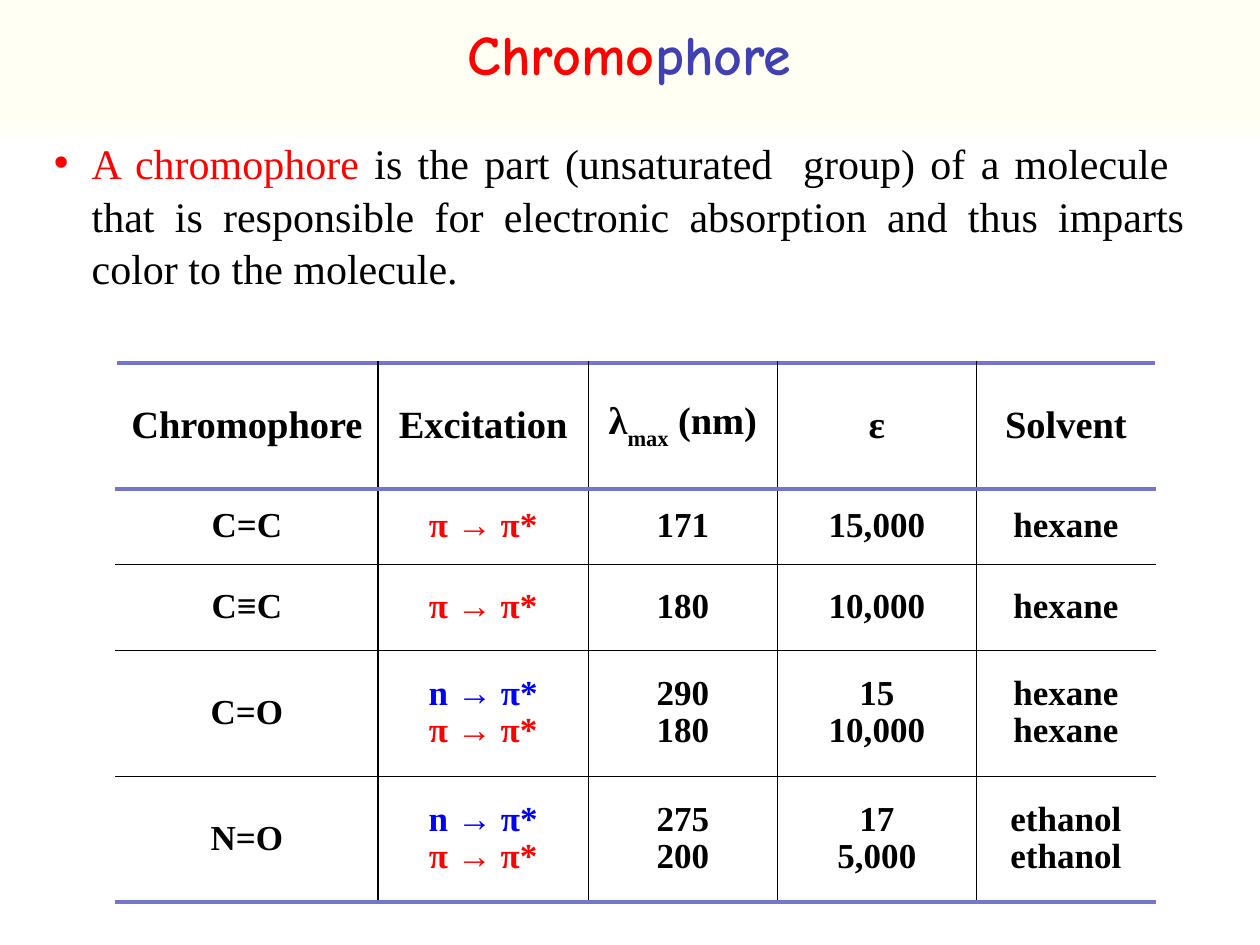
"""Build the chromophore slide: title, definition and table of excitations."""
from lxml.etree import SubElement
from pptx import Presentation
from pptx.dml.color import RGBColor as RGB
from pptx.enum.text import MSO_ANCHOR as Anchor, PP_ALIGN as Align
from pptx.oxml import parse_xml
from pptx.oxml.ns import nsdecls, qn
from pptx.util import Inches, Pt

RED = RGB(0xFF, 0x00, 0x00)
BLUE = RGB(0x00, 0x00, 0xFF)
INDIGO = RGB(0x40, 0x40, 0xB3)
RULE = RGB(0x75, 0x75, 0xD1)
BLACK = RGB(0x00, 0x00, 0x00)
WHITE = RGB(0xFF, 0xFF, 0xFF)
IVORY = RGB(0xFF, 0xFF, 0xF3)
SERIF = "Times New Roman"
CASUAL = "Comic Neue"

COLUMN_WIDTHS = (2.08, 1.67, 1.5, 1.58, 1.42)
ROW_HEIGHTS = (1, 0.6, 0.68, 1, 1)
HEADINGS = ("Chromophore", "Excitation", "λ|max| (nm)", "ε", "Solvent")
ROWS = (
    ("C=C", "π", "171", "15,000", "hexane"),
    ("C≡C", "π", "180", "10,000", "hexane"),
    ("C=O", "nπ", "290\n180", "15\n10,000", "hexane\nhexane"),
    ("N=O", "nπ", "275\n200", "17\n5,000", "ethanol\nethanol"),
)
ORBITAL_COLORS = {"n": BLUE, "π": RED}
DEFINITION = (
    " is the part (unsaturated  group) of a molecule  that is responsible "
    "for electronic absorption and thus imparts color to the molecule."
)


def add_text(paragraph, text, size=20, color=BLACK, bold=True, font=SERIF, baseline=0):
    for index, line in enumerate(text.split("\n")):
        if index:
            paragraph.add_line_break()
        run = paragraph.add_run()
        run.text = line
        run.font.size = Pt(size)
        run.font.bold = bold
        run.font.name = font
        run.font.color.rgb = color
        if baseline:
            run.font._element.set("baseline", str(baseline * 1000))


def add_box(slide, left, top, width, height, align, indent):
    frame = slide.shapes.add_textbox(
        Inches(left), Inches(top), Inches(width), Inches(height)
    ).text_frame
    frame.word_wrap = True
    paragraph = frame.paragraphs[0]
    paragraph.alignment = align
    properties = paragraph._p.get_or_add_pPr()
    properties.set("marL", str(Inches(indent)))
    properties.set("indent", str(-Inches(indent)))
    return paragraph


def add_bullet(paragraph, color):
    properties = paragraph._p.get_or_add_pPr()
    bullet_color = SubElement(properties, qn("a:buClr"))
    SubElement(bullet_color, qn("a:srgbClr")).set("val", str(color))
    SubElement(properties, qn("a:buFont")).set("typeface", "Arial")
    SubElement(properties, qn("a:buChar")).set("char", "•")


def set_borders(cell, row, column):
    last_row, last_column = len(ROW_HEIGHTS) - 1, len(COLUMN_WIDTHS) - 1
    thin, thick, edge = (BLACK, 0.75), (RULE, 3), (WHITE, 1)
    borders = (
        ("L", edge if column == 0 else thin),
        ("R", edge if column == last_column else thin),
        ("T", thick if row in (0, 1) else thin),
        ("B", thick if row in (0, last_row) else thin),
    )
    for index, (side, (color, width)) in enumerate(borders):
        line = parse_xml(
            f'<a:ln{side} {nsdecls("a")} w="{Pt(width)}"><a:solidFill>'
            f'<a:srgbClr val="{color}"/></a:solidFill></a:ln{side}>'
        )
        cell._tc.get_or_add_tcPr().insert(index, line)


def add_heading(paragraph, text):
    for index, part in enumerate(text.split("|")):
        add_text(paragraph, part, size=22, baseline=-30 if index == 1 else 0)


def add_excitations(frame, orbitals):
    for index, orbital in enumerate(orbitals):
        paragraph = frame.add_paragraph() if index else frame.paragraphs[0]
        color = ORBITAL_COLORS[orbital]
        add_text(paragraph, f"{orbital} ", color=color)
        add_text(paragraph, "→ ", color=color, bold=False)
        add_text(paragraph, "π*", color=color)


def add_excitation_table(slide):
    table = slide.shapes.add_table(
        len(ROW_HEIGHTS), len(COLUMN_WIDTHS), Inches(0.92), Inches(2.88),
        Inches(sum(COLUMN_WIDTHS)), Inches(sum(ROW_HEIGHTS)),
    ).table
    for column, width in zip(table.columns, COLUMN_WIDTHS):
        column.width = Inches(width)
    for table_row, height in zip(table.rows, ROW_HEIGHTS):
        table_row.height = Inches(height)
    for row, values in enumerate((HEADINGS, *ROWS)):
        for column, value in enumerate(values):
            cell = table.cell(row, column)
            cell.fill.solid()
            cell.fill.fore_color.rgb = WHITE
            cell.vertical_anchor = Anchor.MIDDLE
            set_borders(cell, row, column)
            frame = cell.text_frame
            if row == 0:
                add_heading(frame.paragraphs[0], value)
            elif column == 1:
                add_excitations(frame, value)
            else:
                add_text(frame.paragraphs[0], value)
            for paragraph in frame.paragraphs:
                paragraph.alignment = Align.CENTER
                if row:
                    paragraph.line_spacing = 0.95


def set_background(slide):
    fill = slide.background.fill
    fill.gradient()
    fill.gradient_angle = 270
    for stop, position, color in zip(fill.gradient_stops, (0.12, 0.16), (IVORY, WHITE)):
        stop.position = position
        stop.color.rgb = color


def main():
    deck = Presentation()
    deck.slide_width, deck.slide_height = Inches(10), Inches(7.5)
    slide = deck.slides.add_slide(deck.slide_layouts[6])
    set_background(slide)

    title = add_box(slide, 3.08, 0.11, 3.83, 0.64, Align.CENTER, 0.5)
    for part, color in (("Chromo", RED), ("phore", INDIGO)):
        add_text(title, part, size=32, color=color, font=CASUAL)

    definition = add_box(slide, 0.33, 1.02, 9.17, 1.31, Align.JUSTIFY, 0.3)
    definition.line_spacing = 1.05
    add_bullet(definition, RED)
    add_text(definition, "A chromophore", size=24, color=RED, bold=False)
    add_text(definition, DEFINITION, size=24, bold=False)

    add_excitation_table(slide)
    deck.save("out.pptx")


if __name__ == "__main__":
    main()
